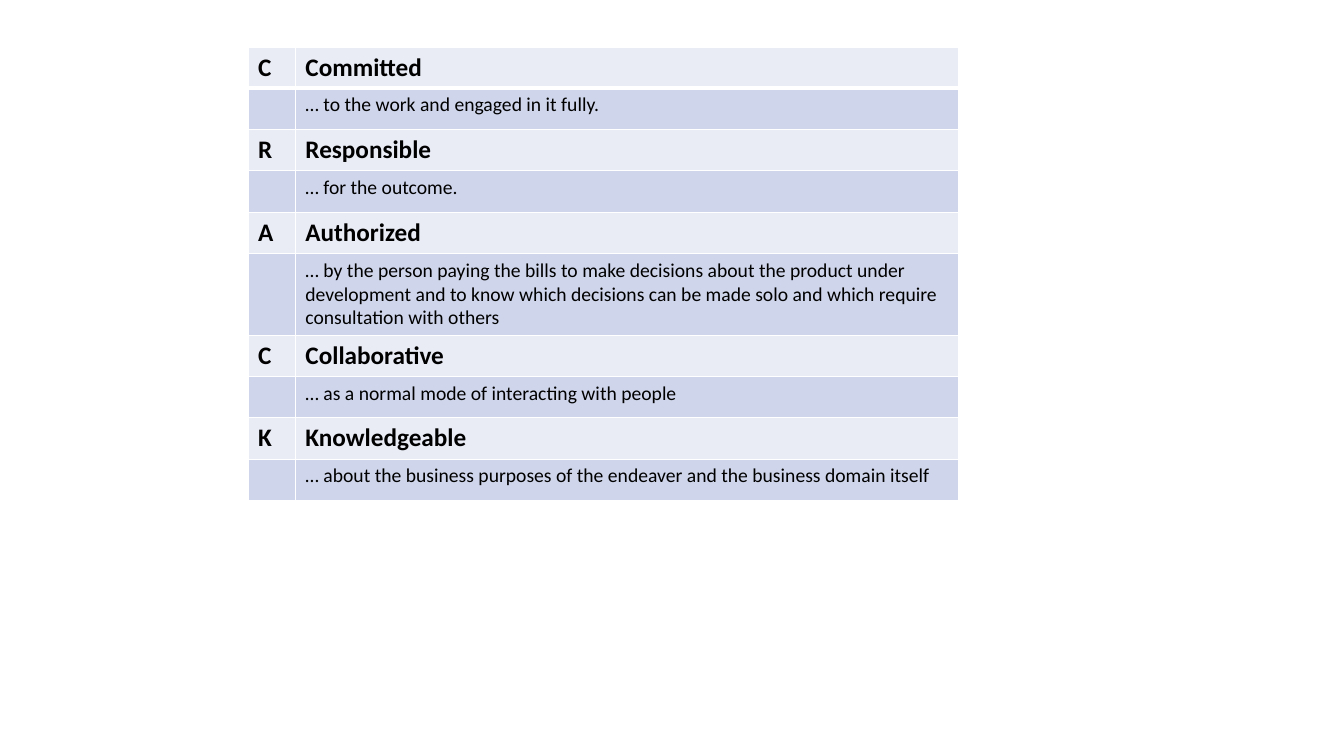
from dataclasses import dataclass

from lxml.etree import SubElement
from pptx import Presentation
from pptx.dml.color import RGBColor
from pptx.oxml.ns import qn
from pptx.util import Inches, Pt


@dataclass(frozen=True)
class Theme:
    """Colours, font and type sizes of the slide."""
    font: str = "Calibri"
    ink: str = "000000"
    rule: str = "FFFFFF"
    trait_fill: str = "E9EBF5"
    meaning_fill: str = "CFD5EA"
    trait_size: int = 18
    meaning_size: int = 14
    rule_width: int = 1
    top_rule_width: int = 3


THEME = Theme()
SLIDE_WIDTH, SLIDE_HEIGHT = 13.33, 7.5
TABLE_LEFT, TABLE_TOP = 2.46, 0.47
COLUMN_WIDTHS = (0.47, 6.58)
FIRST_ROW_HEIGHT, ROW_HEIGHT = 0.4, 0.41

TRAITS = (
    ("Committed", "… to the work and engaged in it fully."),
    ("Responsible", "… for the outcome."),
    ("Authorized",
     "… by the person paying the bills to make decisions about the product "
     "under development and to know which decisions can be made solo and "
     "which require consultation with others"),
    ("Collaborative", "… as a normal mode of interacting with people"),
    ("Knowledgeable",
     "… about the business purposes of the endeaver and the business domain "
     "itself"),
)


def add_borders(cell, **widths):
    """Rule the cell's sides, given as L, R, T and B widths in points."""
    properties = cell._tc.get_or_add_tcPr()
    for side in "LRTB":
        width = widths.get(side, THEME.rule_width)
        line = SubElement(properties, qn(f"a:ln{side}"), w=str(Pt(width)))
        paint = SubElement(line, qn("a:solidFill"))
        SubElement(paint, qn("a:srgbClr"), val=THEME.rule)


def write_text(cell, text, size, bold=False):
    """Put one formatted run of text in the cell."""
    run = cell.text_frame.paragraphs[0].add_run()
    run.text = text
    run.font.name = THEME.font
    run.font.size = Pt(size)
    run.font.bold = bold
    run.font.color.rgb = RGBColor.from_string(THEME.ink)


def fill_row(cells, texts, fill, borders, **text_format):
    """Rule, fill and write the cells of one row."""
    for cell, text in zip(cells, texts):
        add_borders(cell, **borders)
        cell.fill.solid()
        cell.fill.fore_color.rgb = RGBColor.from_string(fill)
        if text:
            write_text(cell, text, **text_format)


def add_trait_table(slide, traits):
    """Add the acrostic table: a trait row and a meaning row per letter."""
    row_count = 2 * len(traits)
    height = FIRST_ROW_HEIGHT + (row_count - 1) * ROW_HEIGHT
    table = slide.shapes.add_table(
        row_count, len(COLUMN_WIDTHS), Inches(TABLE_LEFT), Inches(TABLE_TOP),
        Inches(sum(COLUMN_WIDTHS)), Inches(height)).table
    table.first_row = table.horz_banding = False
    for column, width in zip(table.columns, COLUMN_WIDTHS):
        column.width = Inches(width)
    for index, row in enumerate(table.rows):
        row.height = Inches(ROW_HEIGHT if index else FIRST_ROW_HEIGHT)

    for index, (trait, meaning) in enumerate(traits):
        trait_row, meaning_row = table.rows[2 * index], table.rows[2 * index + 1]
        below_first = THEME.rule_width if index else THEME.top_rule_width
        fill_row(trait_row.cells, (trait[0], trait), THEME.trait_fill,
                 {"B": below_first}, size=THEME.trait_size, bold=True)
        fill_row(meaning_row.cells, ("", meaning), THEME.meaning_fill,
                 {"T": below_first}, size=THEME.meaning_size)


def main():
    """Build the slide and save it."""
    deck = Presentation()
    deck.slide_width = Inches(SLIDE_WIDTH)
    deck.slide_height = Inches(SLIDE_HEIGHT)
    slide = deck.slides.add_slide(deck.slide_layouts[6])
    add_trait_table(slide, TRAITS)
    deck.save("out.pptx")


main()
